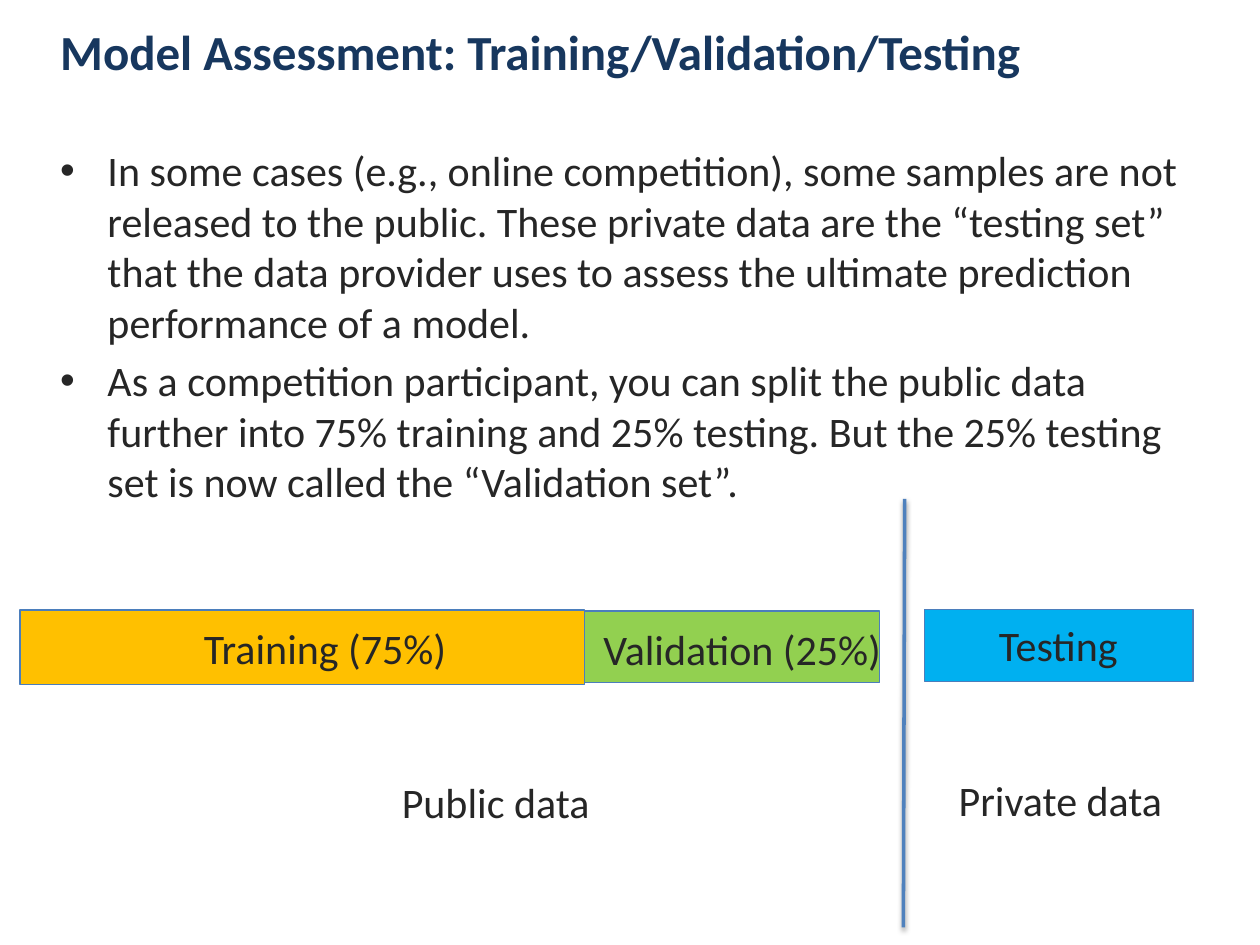
from dataclasses import dataclass
from typing import NamedTuple

from lxml.etree import SubElement
from pptx import Presentation
from pptx.dml.color import RGBColor
from pptx.enum.shapes import MSO_CONNECTOR, MSO_SHAPE
from pptx.enum.text import MSO_ANCHOR
from pptx.oxml import parse_xml
from pptx.oxml.ns import nsdecls, qn
from pptx.util import Inches, Pt

COLUMNS, ROWS = 100, 75
CELL = Inches(0.1)


@dataclass(frozen=True)
class Theme:
    font: str = "Calibri"
    title_size: int = 28
    body_size: int = 24
    title: str = "17375E"
    text: str = "262626"
    outline: str = "4B7EBC"
    divider: str = "4F81BD"
    training: str = "FFC000"
    validation: str = "92D050"
    testing: str = "00B0F0"


class Box(NamedTuple):
    """Left, top, width and height in grid cells."""
    x: float
    y: float
    w: float
    h: float


class Bar(NamedTuple):
    box: Box
    fill: str


class Label(NamedTuple):
    text: str
    box: Box


THEME = Theme()
TITLE = Label("Model Assessment: Training/Validation/Testing", Box(3.8, 0.5, 82, 7.1))
BODY_BOX = Box(3.8, 11, 92.4, 60.5)
BULLETS = [
    "In some cases (e.g., online competition), some samples are not released to "
    "the public. These private data are the “testing set” that the data provider "
    "uses to assess the ultimate prediction performance of a model.",
    "As a competition participant, you can split the public data further into 75% "
    "training and 25% testing. But the 25% testing set is now called the "
    "“Validation set”.",
]
BARS = [
    Bar(Box(1.6, 48.4, 44.8, 5.9), THEME.training),
    Bar(Box(46.4, 48.5, 23.4, 5.7), THEME.validation),
    Bar(Box(73.4, 48.4, 21.3, 5.7), THEME.testing),
]
LABELS = [
    Label("Training (75%)", Box(15.2, 48.9, 21.4, 5)),
    Label("Validation (25%)", Box(46.9, 49, 24.3, 5)),
    Label("Testing", Box(78.3, 48.7, 11.6, 5)),
    Label("Public data", Box(30.9, 61.1, 17.1, 5)),
    Label("Private data", Box(75.1, 61, 22.4, 5)),
]
DIVIDER = ((71.8, 39.6), (71.7, 73.6))


def cells(*counts: float) -> list[int]:
    return [round(n * CELL) for n in counts]


def add_text(slide, box: Box, lines: list[str], size: int, color: str,
             bold: bool = False, bulleted: bool = False, wrap: bool = True):
    tf = slide.shapes.add_textbox(*cells(*box)).text_frame
    tf.word_wrap = wrap
    tf.text = "\n".join(lines)
    for i, p in enumerate(tf.paragraphs):
        if bulleted:
            add_bullet(p)
        if i:
            p.space_before = Pt(0.2 * size)
        for r in p.runs:
            r.font.name = THEME.font
            r.font.size = Pt(size)
            r.font.bold = bold
            r.font.color.rgb = RGBColor.from_string(color)
    return tf


def add_bullet(p) -> None:
    pPr = p._p.get_or_add_pPr()
    indent = Inches(0.375)
    pPr.set("marL", str(indent))
    pPr.set("indent", str(-indent))
    SubElement(pPr, qn("a:buFont")).set("typeface", "Arial")
    SubElement(pPr, qn("a:buChar")).set("char", "•")


def add_bar(slide, bar: Bar) -> None:
    sp = slide.shapes.add_shape(MSO_SHAPE.RECTANGLE, *cells(*bar.box))
    sp.shadow.inherit = False
    sp.fill.solid()
    sp.fill.fore_color.rgb = RGBColor.from_string(bar.fill)
    sp.line.color.rgb = RGBColor.from_string(THEME.outline)
    sp.line.width = Pt(0.75)


def add_divider(slide) -> None:
    start, end = DIVIDER
    line = slide.shapes.add_connector(MSO_CONNECTOR.STRAIGHT, *cells(*start, *end))
    line.line.color.rgb = RGBColor.from_string(THEME.divider)
    line.line.width = Pt(2)
    line._element.spPr.append(parse_xml(
        f'<a:effectLst {nsdecls("a")}>'
        f'<a:outerShdw blurRad="{Pt(3.1)}" dist="{Pt(1.6)}" dir="5400000" rotWithShape="0">'
        '<a:srgbClr val="000000"><a:alpha val="38000"/></a:srgbClr>'
        '</a:outerShdw></a:effectLst>'))


def main() -> None:
    prs = Presentation()
    prs.slide_width, prs.slide_height = cells(COLUMNS, ROWS)
    slide = prs.slides.add_slide(prs.slide_layouts[6])

    add_text(slide, BODY_BOX, BULLETS, THEME.body_size, THEME.text, bulleted=True)
    title = add_text(slide, TITLE.box, [TITLE.text], THEME.title_size, THEME.title, bold=True)
    title.vertical_anchor = MSO_ANCHOR.MIDDLE
    for bar in BARS:
        add_bar(slide, bar)
    add_divider(slide)
    for label in LABELS:
        add_text(slide, label.box, [label.text], THEME.body_size, THEME.text, wrap=False)

    prs.save("out.pptx")


if __name__ == "__main__":
    main()
